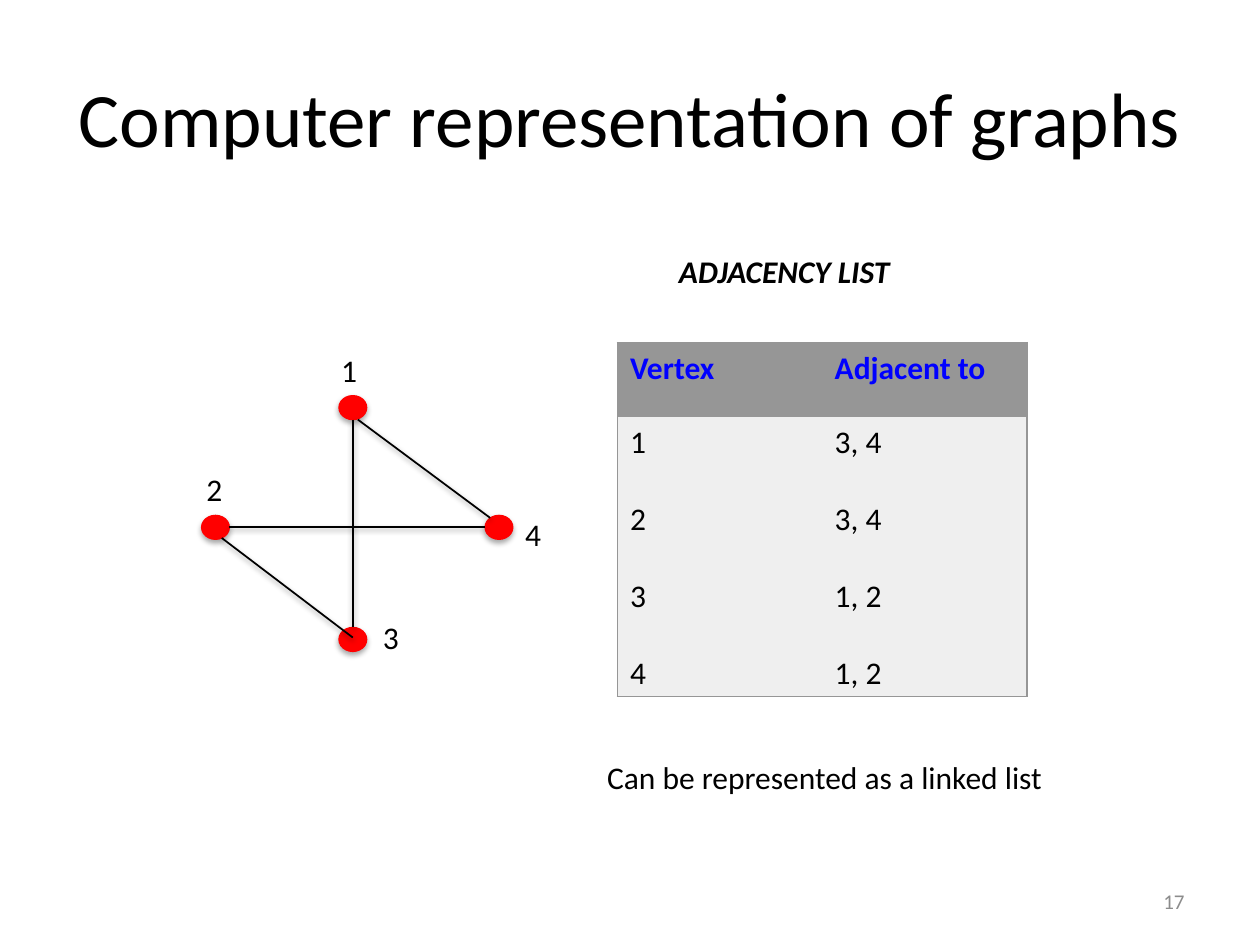
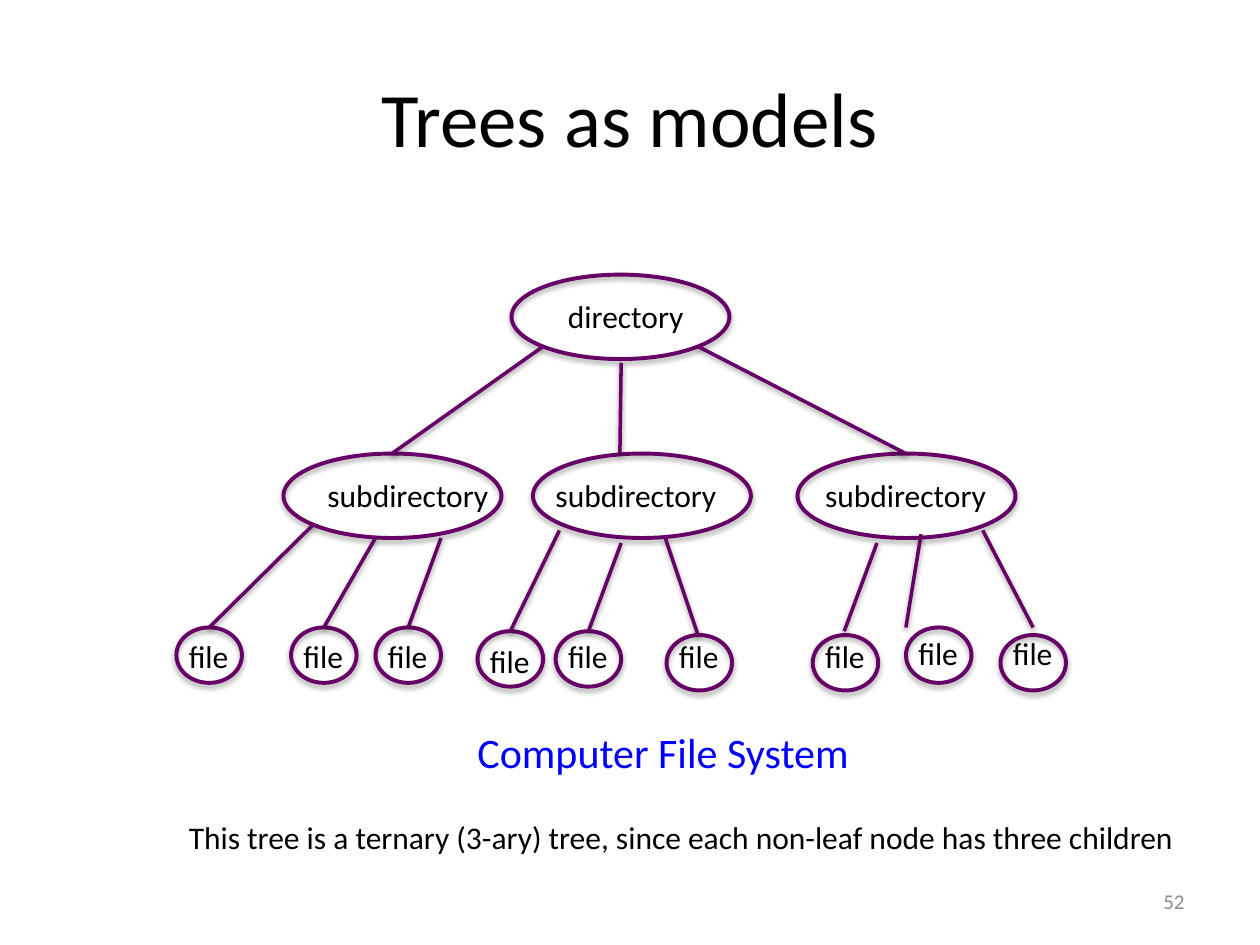
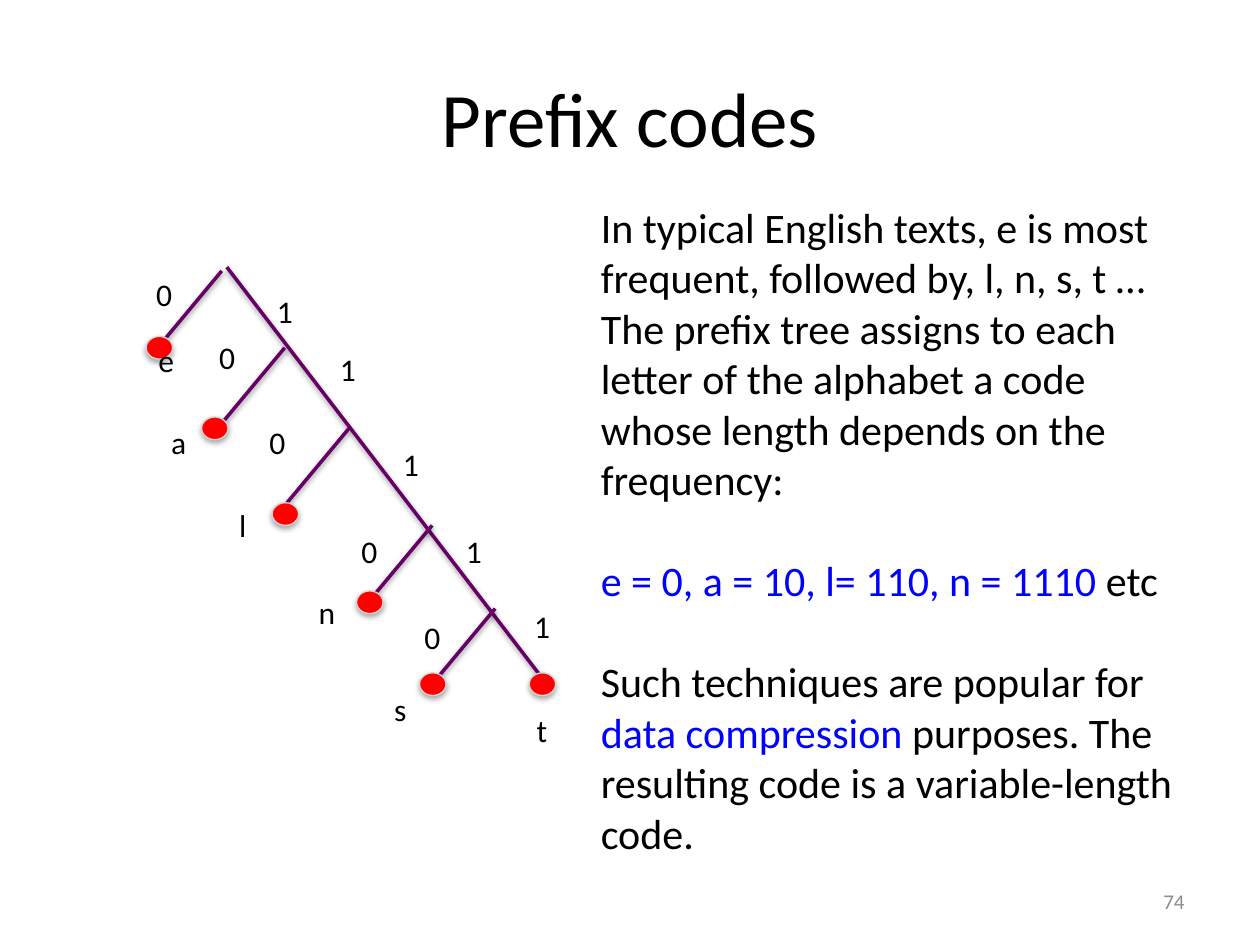
"""Build three slides on graphs, trees and prefix codes."""
from dataclasses import dataclass

from lxml import etree
from pptx import Presentation
from pptx import util as u
from pptx.dml.color import RGBColor
from pptx.enum import shapes, text
from pptx.oxml import ns


@dataclass(frozen=True)
class Theme:
    font: str = "Calibri"
    black: str = "000000"
    blue: str = "0000FF"
    red: str = "FF0000"
    purple: str = "660066"
    pale: str = "D8D8D8"
    header: str = "969696"
    cell: str = "EFEFEF"
    muted: str = "8C8C8C"
    title_size: int = 44
    large: int = 24
    normal: int = 18
    small: int = 12
    large_line: int = 29
    normal_line: int = 22


THEME = Theme()


def inches(values):
    return [u.Inches(value) for value in values]


def add_xml(parent, tag, **attributes):
    return etree.SubElement(parent, ns.qn(tag), attributes)


class Deck:
    def __init__(self, theme):
        self.theme = theme
        self.prs = Presentation()
        self.prs.slide_width, self.prs.slide_height = inches((10, 7.5))
        self.slide = None

    def new_slide(self, title, number):
        self.slide = self.prs.slides.add_slide(self.prs.slide_layouts[5])
        heading = self.slide.shapes.title
        heading.left, heading.top, heading.width, heading.height = inches((0.5, 0.3, 9, 1.25))
        frame = heading.text_frame
        frame.vertical_anchor = text.MSO_ANCHOR.MIDDLE
        frame.paragraphs[0].alignment = text.PP_ALIGN.CENTER
        self.run(frame.paragraphs[0], title, size=self.theme.title_size)
        footer = self.text((7.17, 6.95, 2.33, 0.4), [[(number, self.theme.muted)]],
                           size=self.theme.small, wrap=True)
        footer.vertical_anchor = text.MSO_ANCHOR.MIDDLE
        footer.paragraphs[0].alignment = text.PP_ALIGN.RIGHT

    def run(self, paragraph, words, color=None, size=None, bold=False, italic=False):
        run = paragraph.add_run()
        run.text = words
        font = run.font
        font.name = self.theme.font
        font.size = u.Pt(size or self.theme.normal)
        font.color.rgb = RGBColor.from_string(color or self.theme.black)
        font.bold, font.italic = bold, italic

    def fill_frame(self, frame, paragraphs, gaps=None, **style):
        for index, runs in enumerate(paragraphs):
            paragraph = frame.add_paragraph() if index else frame.paragraphs[0]
            if gaps and gaps[index]:
                paragraph.space_before = u.Pt(gaps[index])
            for words, color in runs:
                self.run(paragraph, words, color, **style)

    def text(self, at, paragraphs, wrap=False, gaps=None, **style):
        frame = self.slide.shapes.add_textbox(*inches(at)).text_frame
        frame.word_wrap = wrap
        self.fill_frame(frame, paragraphs, gaps, **style)
        return frame

    def label(self, words, left, top, width=0.33, height=0.4, color=None, **style):
        self.text((left, top, width, height), [[(words, color)]], **style)

    def shadow(self, effects, distance, alpha):
        outer = add_xml(effects, "a:outerShdw", blurRad="40000", dist=str(distance),
                        dir="5400000", rotWithShape="0")
        color = add_xml(outer, "a:srgbClr", val=self.theme.black)
        add_xml(color, "a:alpha", val=str(alpha))

    def oval(self, at, line, width, fill=None):
        oval = self.slide.shapes.add_shape(shapes.MSO_SHAPE.OVAL, *inches(at))
        if fill:
            oval.fill.solid()
            oval.fill.fore_color.rgb = RGBColor.from_string(fill)
        else:
            oval.fill.background()
        oval.line.color.rgb = RGBColor.from_string(line)
        oval.line.width = u.Pt(width)
        oval.shadow.inherit = False
        effects = oval._element.spPr.find(ns.qn("a:effectLst"))
        self.shadow(effects, 23000, 35000)

    def edge(self, start, end, color, width):
        edge = self.slide.shapes.add_connector(
            shapes.MSO_CONNECTOR.STRAIGHT, *inches((*start, *end)))
        edge.line.color.rgb = RGBColor.from_string(color)
        edge.line.width = u.Pt(width)
        self.shadow(add_xml(edge._element.spPr, "a:effectLst"), 20000, 38000)

    def borders(self, cell, outer_sides):
        properties = cell._tc.get_or_add_tcPr()
        for position, side in enumerate("LRTB"):
            line = etree.Element(ns.qn(f"a:ln{side}"), {"w": "12700"})
            if side in outer_sides:
                solid = add_xml(line, "a:solidFill")
                add_xml(solid, "a:srgbClr", val=self.theme.header)
            else:
                add_xml(line, "a:noFill")
            properties.insert(position, line)

    def table(self, at, heights, headings, columns):
        frame = self.slide.shapes.add_table(2, len(columns), *inches(at))
        table = frame.table
        table.first_row = table.horz_banding = False
        for row, height in zip(table.rows, heights):
            row.height = u.Inches(height)
        gap = self.theme.normal_line
        for index, (heading, values) in enumerate(zip(headings, columns)):
            side = "L" if index == 0 else "R"
            gaps = [0] + [gap] * (len(values) - 1)
            contents = (([heading], [0], self.theme.blue, self.theme.header, True, "T"),
                        (values, gaps, self.theme.black, self.theme.cell, False, "B"))
            for row, (lines, spacing, color, fill, bold, end) in enumerate(contents):
                cell = table.cell(row, index)
                cell.fill.solid()
                cell.fill.fore_color.rgb = RGBColor.from_string(fill)
                self.borders(cell, side + end)
                self.fill_frame(cell.text_frame, [[(line, color)] for line in lines],
                                spacing, bold=bold)


def adjacency_slide(deck):
    theme = deck.theme
    deck.new_slide("Computer representation of graphs", "17")
    deck.label("ADJACENCY LIST", 5.29, 1.95, 1.95, bold=True, italic=True)
    for left, top in ((2.69, 3.14), (3.85, 4.09), (2.69, 4.98), (1.6, 4.09)):
        deck.oval((left, top, 0.22, 0.19), theme.red, 0.75, theme.red)
    for start, end in (((2.8, 3.33), (2.8, 4.98)), ((1.82, 4.18), (3.85, 4.18)),
                       ((2.84, 3.33), (3.89, 4.11)), ((1.76, 4.27), (2.8, 5.06))):
        deck.edge(start, end, theme.black, 1)
    vertices = ((2.61, 2.74), (1.54, 3.68), (2.94, 4.86), (4.07, 4.04))
    for number, place in enumerate(vertices, 1):
        deck.label(str(number), *place)
    deck.table((4.9, 2.72, 3.25, 2.79), (0.59, 2.2), ("Vertex", "Adjacent to"),
               (("1", "2", "3", "4"), ("3, 4", "3, 4", "1, 2", "1, 2")))
    deck.label("Can be represented as a linked list", 4.72, 5.97, 3.69)


def file_tree_slide(deck):
    theme = deck.theme
    deck.new_slide("Trees as models", "52")
    folders = (("directory", (4.41, 2.31, 1.13), (4.06, 2.18)),
               ("subdirectory", (2.5, 3.73, 1.49), (2.25, 3.6)),
               ("subdirectory", (4.31, 3.73, 1.49), (4.23, 3.6)),
               ("subdirectory", (6.45, 3.73, 1.49), (6.33, 3.6)))
    for name, name_place, oval_place in folders:
        deck.label(name, *name_place)
        deck.oval((*oval_place, 1.73, 0.67), theme.purple, 2.25)
    files = ((1.4, 5.01, 4.98), (2.31, 5.01, 4.98), (2.98, 5.01, 4.98),
             (3.79, 5.05, 5.01), (4.41, 5.01, 5.01), (5.29, 5.01, 5.04),
             (6.45, 5.01, 5.04), (7.19, 4.98, 4.98), (7.94, 4.98, 5.04))
    for left, name_top, oval_top in files:
        deck.label("file", left, name_top, 0.52)
        deck.oval((left, oval_top, 0.52, 0.44), theme.purple, 2.25)
    branches = (((4.31, 2.75), (3.11, 3.6)), ((4.93, 2.88), (4.92, 3.6)),
                ((5.54, 2.75), (7.19, 3.6)), ((2.49, 4.16), (1.66, 4.98)),
                ((2.98, 4.27), (2.57, 4.98)), ((3.5, 4.27), (3.24, 4.98)),
                ((4.44, 4.21), (4.05, 5.01)), ((4.93, 4.31), (4.67, 5.01)),
                ((5.28, 4.27), (5.54, 5.04)), ((6.96, 4.31), (6.7, 5.01)),
                ((7.31, 4.24), (7.19, 4.98)), ((7.8, 4.21), (8.2, 4.98)))
    for parent, child in branches:
        deck.edge(parent, child, theme.purple, 2)
    deck.label("Computer File System", 3.69, 5.72, 3.18, 0.5, theme.blue, size=theme.large)
    deck.label("This tree is a ternary (3-ary) tree, since each non-leaf node has three children",
               1.4, 6.44, 8.1, wrap=True)


def prefix_slide(deck):
    theme = deck.theme
    deck.new_slide("Prefix codes", "74")
    deck.edge((1.8, 2.12), (4.34, 5.43), theme.purple, 2)
    forks = ((1.76, 2.15), (2.26, 2.76), (2.77, 3.4), (3.43, 4.17), (3.93, 4.83))
    for left, top in forks:
        deck.edge((left, top), (left - 0.5, top + 0.6), theme.purple, 2)
    leaves = (("e", (1.16, 2.67), (1.16, 2.66, 0.33)), ("a", (1.6, 3.31), (1.26, 3.31, 0.32)),
              ("l", (2.16, 3.99), (1.8, 3.97, 0.26)), ("n", (2.83, 4.69), (2.43, 4.66, 0.33)),
              ("s", (3.33, 5.34), (3.03, 5.43, 0.3)), ("t", (4.2, 5.34), (4.16, 5.59, 0.29)))
    for letter, dot, letter_place in leaves:
        deck.oval((*dot, 0.21, 0.18), theme.pale, 0.75, theme.red)
        deck.label(letter, *letter_place)
    bits = {"0": ((1.14, 2.13), (1.64, 2.63), (2.04, 3.31), (2.77, 4.17), (3.27, 4.86)),
            "1": ((2.1, 2.27), (2.6, 2.73), (3.1, 3.48), (3.6, 4.17), (4.14, 4.77))}
    for bit, places in bits.items():
        for place in places:
            deck.label(bit, *place)
    explanation = [
        [("In typical English texts, e is most frequent, followed by, l, n, s, t … "
          "The prefix tree assigns to each letter of the alphabet a code whose length "
          "depends on the frequency:", theme.black)],
        [("e = 0, a = 10, l= 110, n = 1110 ", theme.blue), ("etc", theme.black)],
        [("Such techniques are popular for", theme.black)],
        [("data compression ", theme.blue), ("purposes. The", theme.black)],
        [("resulting code is a variable-length", theme.black)],
        [("code.", theme.black)],
    ]
    gap = theme.large_line
    deck.text((4.67, 1.55, 4.99, 5.35), explanation, wrap=True,
              gaps=(0, gap, gap, 0, 0, 0), size=theme.large)


def main():
    deck = Deck(THEME)
    adjacency_slide(deck)
    file_tree_slide(deck)
    prefix_slide(deck)
    deck.prs.save("out.pptx")


if __name__ == "__main__":
    main()
